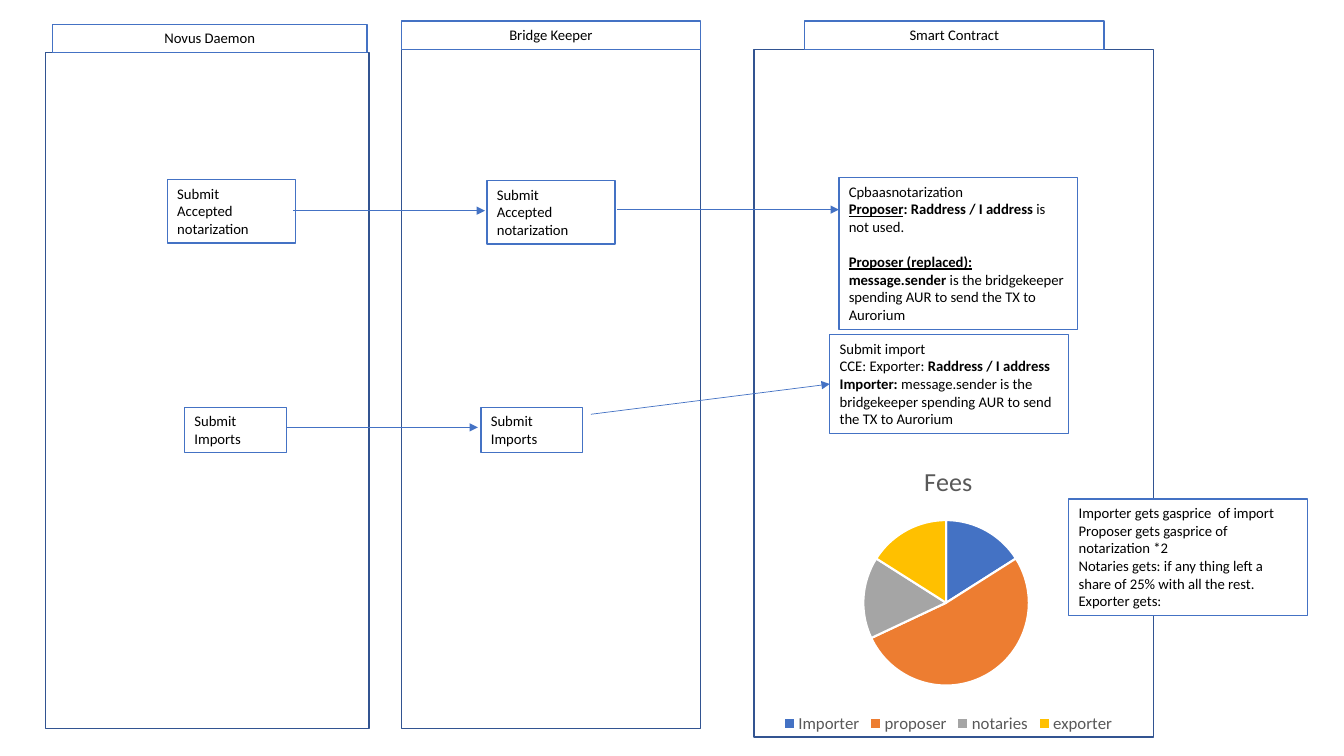
from pptx import Presentation
from pptx.chart.data import CategoryChartData
from pptx.dml.color import RGBColor
from pptx.enum.chart import XL_CHART_TYPE as ChartType, XL_LEGEND_POSITION as LegendPosition
from pptx.enum.shapes import MSO_CONNECTOR as Connector, MSO_SHAPE as Preset
from pptx.enum.text import MSO_ANCHOR as Anchor, PP_ALIGN as Align
from pptx.oxml import parse_xml
from pptx.oxml.ns import nsdecls
from pptx.util import Pt

PX = 9144
FONT = "Calibri"
COLORS = {
    "paper": "FFFFFF", "ink": "000000", "frame": "325491", "edge": "4472C4",
    "muted": "595959", "blue": "4472C4", "orange": "ED7D31", "gray": "A5A5A5",
    "gold": "FFC000",
}
SENDER = "is the bridgekeeper spending AUR to send the TX to Aurorium"
SUBMIT = ["Submit", "Accepted", "notarization"]
COLUMNS = [
    ((45, 52, 321, 671), (52, 24, 312, 28), "Novus Daemon"),
    ((398, 48, 297, 675), (398, 21, 297, 28), "Bridge Keeper"),
    ((748, 49, 396, 682), (798, 21, 297, 28), "Smart Contract"),
]
NOTES = [
    ((166, 178, 127, 63), SUBMIT),
    ((483, 179, 127, 63), SUBMIT),
    ((183, 404, 101, 45), ["Submit Imports"]),
    ((477, 404, 101, 45), ["Submit Imports"]),
    ((832, 176, 237, 151), [
        "Cpbaasnotarization",
        [("Proposer", "bu"), (": Raddress / I address ", "b"), ("is not used.", "")],
        [("Proposer (replaced): ", "bu"), ("message.sender ", "b"), (SENDER, "")],
    ]),
    ((823, 332, 237, 98), [
        "Submit import",
        [("CCE: Exporter: ", ""), ("Raddress / I address", "b")],
        [("Importer: ", "b"), ("message.sender " + SENDER, "")],
    ]),
]
FEE_NOTE = ((1060, 495, 237, 116), [
    "Importer gets gasprice  of import",
    "Proposer gets gasprice of notarization *2",
    "Notaries gets: if any thing left a share of 25% with all the rest.",
    "Exporter gets:",
])
ARROWS = [
    (291, 209, 481, 209), (612, 208, 832, 208),
    (284, 424, 474, 424), (586, 411, 823, 381),
]
FEES = [
    ("Importer", 16, "blue"), ("proposer", 52, "orange"),
    ("notaries", 16, "gray"), ("exporter", 16, "gold"),
]
FEES_BOX = (729, 444, 423, 288)
PIE_BOX = (858, 517, 165, 165)


def color(name):
    """Return the named colour."""
    return RGBColor.from_string(COLORS[name])


def scaled(lengths):
    """Turn px into EMU."""
    return [length * PX for length in lengths]


def style_font(font, size, name):
    """Set typeface, size and colour."""
    font.name, font.size = FONT, Pt(size)
    font.color.rgb = color(name)


def add_box(page, box, edge, fill=None):
    """Add a thinly outlined rectangle."""
    shape = page.shapes.add_shape(Preset.RECTANGLE, *scaled(box))
    shape.shadow.inherit = False
    shape.line.color.rgb = color(edge)
    shape.line.width = Pt(1)
    if fill:
        shape.fill.solid()
        shape.fill.fore_color.rgb = color(fill)
    else:
        shape.fill.background()
    return shape


def add_note(page, box, lines, align=Align.LEFT):
    """Add a white box with one paragraph per line."""
    frame = add_box(page, box, "edge", "paper").text_frame
    frame.word_wrap = True
    frame.vertical_anchor = Anchor.TOP
    for index, line in enumerate(lines):
        para = frame.paragraphs[0] if index == 0 else frame.add_paragraph()
        para.alignment = align
        for text, marks in [(line, "")] if isinstance(line, str) else line:
            span = para.add_run()
            span.text = text
            style_font(span.font, 10.5, "ink")
            span.font.bold = "b" in marks
            span.font.underline = "u" in marks
    return frame


def add_column(page, box, header_box, header):
    """Add a column frame with its header."""
    add_box(page, box, "frame")
    add_note(page, header_box, [header], Align.CENTER)


def add_arrow(page, ends):
    """Add a thin arrow between two points."""
    arrow = page.shapes.add_connector(Connector.STRAIGHT, *scaled(ends))
    arrow.line.color.rgb = color("edge")
    arrow.line.width = Pt(0.5)
    arrow.line._get_or_add_ln().append(
        parse_xml(f'<a:tailEnd {nsdecls("a")} type="triangle"/>'))
    arrow._element.spPr.append(parse_xml(f'<a:effectLst {nsdecls("a")}/>'))


def place_plot(chart, box, plot_box):
    """Fix the plot area inside the chart box."""
    left, top, width, height = box
    x, y, w, h = plot_box
    shares = {"x": (x - left) / width, "y": (y - top) / height,
              "w": w / width, "h": h / height}
    modes = '<c:xMode val="edge"/><c:yMode val="edge"/>'
    sizes = "".join(f'<c:{key} val="{share:.2f}"/>' for key, share in shares.items())
    area = chart._chartSpace.chart.plotArea
    for layout in area.findall("{*}layout"):
        area.remove(layout)
    area.insert(0, parse_xml(
        f'<c:layout {nsdecls("c")}><c:manualLayout><c:layoutTarget val="inner"/>'
        f'{modes}{sizes}</c:manualLayout></c:layout>'))


def add_fees(page, box, plot_box):
    """Add the pie of fee shares."""
    data = CategoryChartData()
    data.categories = [name for name, share, fill in FEES]
    data.add_series("Series 1", [share for name, share, fill in FEES])
    chart = page.shapes.add_chart(ChartType.PIE, *scaled(box), data).chart
    style_font(chart.font, 10, "ink")
    chart.has_title = True
    title = chart.chart_title.text_frame
    title.text = "Fees"
    span = title.paragraphs[0].runs[0]
    style_font(span.font, 18.6, "muted")
    span.font.bold = False
    chart.has_legend = True
    chart.legend.position = LegendPosition.BOTTOM
    chart.legend.include_in_layout = False
    style_font(chart.legend.font, 12, "muted")
    plot = chart.plots[0]
    plot.vary_by_categories = True
    for index, (name, share, fill) in enumerate(FEES):
        wedge = plot.series[0].points[index].format
        wedge.fill.solid()
        wedge.fill.fore_color.rgb = color(fill)
        wedge.line.color.rgb = color("paper")
        wedge.line.width = Pt(1.5)
    place_plot(chart, box, plot_box)


def main():
    """Build and save the slide."""
    deck = Presentation()
    deck.slide_width, deck.slide_height = scaled((1333, 750))
    page = deck.slides.add_slide(deck.slide_layouts[6])
    for column in COLUMNS:
        add_column(page, *column)
    frames = [add_note(page, *note) for note in NOTES]
    frames[4].paragraphs[2].space_before = Pt(12.6)
    for ends in ARROWS:
        add_arrow(page, ends)
    add_fees(page, FEES_BOX, PIE_BOX)
    add_note(page, *FEE_NOTE)
    deck.save("out.pptx")


if __name__ == "__main__":
    main()
